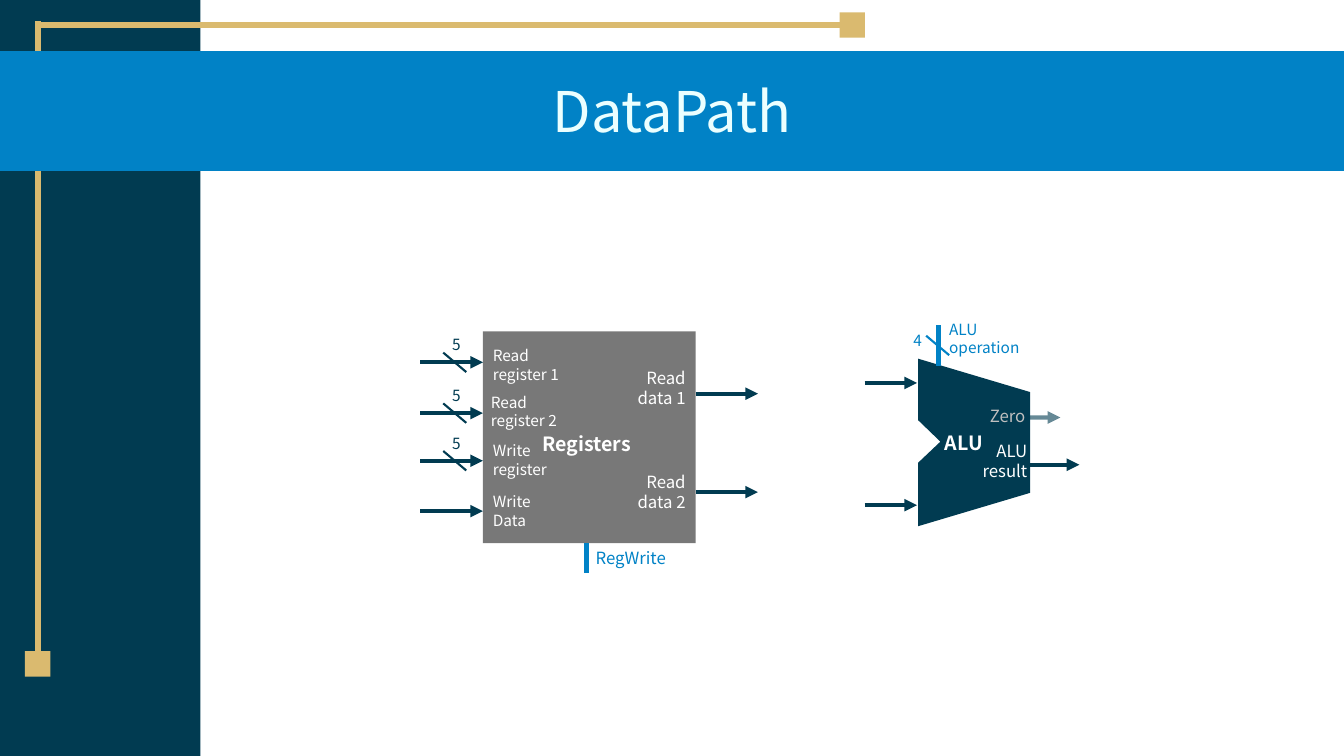
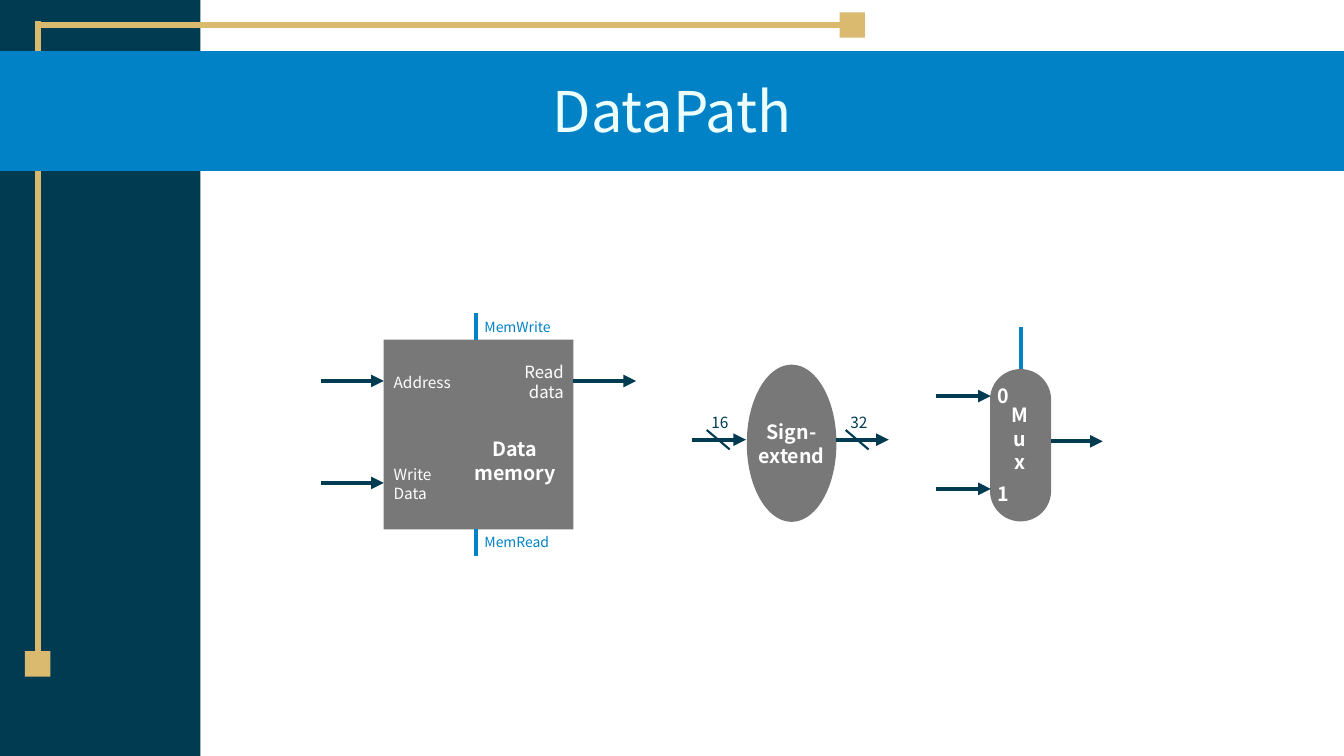
from dataclasses import dataclass

from pptx import Presentation
from pptx import util as u
from pptx.dml import color
from pptx.enum import shapes, text
from pptx.oxml import ns
from lxml import etree

FONT = "Noto Sans CJK KR"
COLORS = {
    "navy": "013B51",
    "blue": "0182C6",
    "gold": "DABA6F",
    "gray": "787878",
    "white": "FFFFFF",
    "silver": "BFBFBF",
    "ice": "EBFFFF",
}
ALIGN = {
    "left": text.PP_ALIGN.LEFT,
    "center": text.PP_ALIGN.CENTER,
    "right": text.PP_ALIGN.RIGHT,
}
RECT = shapes.MSO_SHAPE.RECTANGLE
OVAL = shapes.MSO_SHAPE.OVAL
ROUNDED = shapes.MSO_SHAPE.ROUNDED_RECTANGLE
SLASH_W, SLASH_H = 0.58, 0.49


# All positions and lengths below are in centimetres
@dataclass
class Block:
    x: float
    y: float
    w: float
    h: float
    fill: str = "gray"
    kind: shapes.MSO_SHAPE = RECT


@dataclass
class Wire:
    """A horizontal signal arrow, with an optional bus width."""
    x: float
    y: float
    length: float
    bits: str = ""
    slash_at: float = SLASH_W
    opacity: int = 100


@dataclass
class Control:
    """A vertical control line."""
    x: float
    y: float
    length: float


@dataclass
class Label:
    words: str
    x: float
    y: float
    w: float
    h: float
    size: float = 11
    color: str = "white"
    align: str = "left"
    bold: bool = False
    tight: bool = False
    stacked: bool = False


def rgb(name: str) -> color.RGBColor:
    return color.RGBColor.from_string(COLORS[name])


def style_paragraphs(frame, size: float, ink: str, align: str, bold: bool = False) -> None:
    for paragraph in frame.paragraphs:
        paragraph.alignment = ALIGN[align]
        font = paragraph.font
        font.name, font.size, font.bold = FONT, u.Pt(size), bold
        font.color.rgb = rgb(ink)


def paint(shape, fill: str) -> None:
    shape.shadow.inherit = False
    shape.fill.solid()
    shape.fill.fore_color.rgb = rgb(fill)
    shape.line.fill.background()


def draw_block(slide, block: Block) -> None:
    shape = slide.shapes.add_shape(
        block.kind, u.Cm(block.x), u.Cm(block.y), u.Cm(block.w), u.Cm(block.h))
    if block.kind == ROUNDED:
        shape.adjustments[0] = 0.5
    paint(shape, block.fill)


def draw_line(slide, x1: float, y1: float, x2: float, y2: float, ink: str,
              width: float = 3, arrow: bool = False, opacity: int = 100) -> None:
    connector = slide.shapes.add_connector(
        shapes.MSO_CONNECTOR.STRAIGHT, u.Cm(x1), u.Cm(y1), u.Cm(x2), u.Cm(y2))
    connector.line.color.rgb = rgb(ink)
    connector.line.width = u.Pt(width)
    stroke = connector.get_or_add_ln()
    if opacity < 100:
        solid = stroke.find(".//" + ns.qn("a:srgbClr"))
        etree.SubElement(solid, ns.qn("a:alpha"), val=str(opacity * 1000))
    if arrow:
        etree.SubElement(stroke, ns.qn("a:tailEnd"), type="triangle")
    etree.SubElement(connector.element.spPr, ns.qn("a:effectLst"))


def draw_label(slide, label: Label) -> None:
    box = slide.shapes.add_textbox(
        u.Cm(label.x), u.Cm(label.y), u.Cm(label.w), u.Cm(label.h))
    frame = box.text_frame
    frame.word_wrap = True
    frame.vertical_anchor = text.MSO_ANCHOR.MIDDLE
    if label.tight:
        frame.vertical_anchor = text.MSO_ANCHOR.TOP
        frame.margin_left = frame.margin_right = 0
        frame.margin_top = frame.margin_bottom = 0
    if label.stacked:
        box.element.txBody.bodyPr.set("vert", "wordArtVert")
    frame.text = label.words
    style_paragraphs(frame, label.size, label.color, label.align, label.bold)


def draw_bus_width(slide, bits: str, x: float, y: float, ink: str) -> None:
    """Slash with its top left corner at x, y and the bit count above it."""
    draw_line(slide, x, y, x + SLASH_W, y + SLASH_H, ink, 1.5)
    draw_label(slide, Label(bits, x - 0.25, y - 0.58, 1.17, 0.76, 11, ink, "center"))


def draw_wire(slide, wire: Wire) -> None:
    draw_line(slide, wire.x, wire.y, wire.x + wire.length, wire.y, "navy",
              arrow=True, opacity=wire.opacity)
    if wire.bits:
        draw_bus_width(slide, wire.bits, wire.x + wire.slash_at,
                       wire.y - SLASH_H / 2, "navy")


def draw_alu(slide) -> None:
    left, right, notch = 23.14, 25.96, 23.7
    outline = [(left, 9.04), (right, 9.88), (right, 12.42), (left, 13.26),
               (left, 11.66), (notch, 11.13), (left, 10.59)]
    points = [(u.Cm(x), u.Cm(y)) for x, y in outline]
    builder = slide.shapes.build_freeform(*points[0])
    builder.add_line_segments(points[1:], close=True)
    paint(builder.convert_to_shape(), "navy")


def add_datapath_slide(deck):
    """Slide with side panel, gold frame, band and title."""
    slide = deck.slides.add_slide(deck.slide_layouts[5])
    draw_block(slide, Block(0, 0, 5.05, 19.05, "navy"))
    draw_line(slide, 0.95, 16.41, 0.95, 0.53, "gold", 4.5)
    draw_line(slide, 21.16, 0.63, 0.95, 0.63, "gold", 4.5)
    for x, y in ((21.16, 0.31), (0.63, 16.41)):
        draw_block(slide, Block(x, y, 0.64, 0.64, "gold"))
    draw_block(slide, Block(0, 1.29, 33.87, 3.02, "blue"))

    title = slide.shapes.title
    title.left, title.top = u.Cm(0.25), u.Cm(1.68)
    title.width, title.height = u.Cm(33.38), u.Cm(2.08)
    frame = title.text_frame
    frame.text = "DataPath"
    frame.auto_size = text.MSO_AUTO_SIZE.NONE
    frame.vertical_anchor = text.MSO_ANCHOR.BOTTOM
    frame.paragraphs[0].line_spacing = 0.9
    style_paragraphs(frame, 40, "ice", "center")
    # Bring the title in front of the band
    title.element.getparent().append(title.element)
    return slide


def draw_parts(slide, parts: list) -> None:
    for part in parts:
        if isinstance(part, Block):
            draw_block(slide, part)
        elif isinstance(part, Wire):
            draw_wire(slide, part)
        elif isinstance(part, Control):
            draw_line(slide, part.x, part.y, part.x, part.y + part.length, "blue")
        else:
            draw_label(slide, part)


REGISTER_FILE = [
    Block(12.17, 8.35, 5.36, 5.34),
    *(Wire(10.59, y, 1.58, "5") for y in (9.13, 10.41, 11.61)),
    Wire(10.59, 12.88, 1.58),
    *(Wire(17.53, y, 1.57) for y in (9.92, 12.4)),
    Control(14.78, 13.69, 0.76),
    Label("Read\nregister 1", 12.17, 8.46, 2.54, 1.47),
    Label("Read\nregister 2", 12.12, 9.63, 2.54, 1.47),
    Label("Write\nregister", 12.17, 10.85, 2.54, 1.47),
    Label("Write\nData", 12.17, 12.14, 2.54, 1.47),
    Label("Registers", 12.88, 10.19, 3.81, 1.96, 14, align="center", bold=True),
    Label("Read\ndata 1", 15.7, 9.19, 1.83, 1.17, 12, align="right"),
    Label("Read\ndata 2", 15.7, 11.81, 1.83, 1.17, 12, align="right"),
    Label("RegWrite", 14.76, 13.46, 2.31, 1.17, 12, "blue"),
]
ALU_SIGNALS = [
    *(Wire(21.79, y, 1.32) for y in (9.65, 12.73)),
    Wire(25.96, 10.52, 0.76, opacity=60),
    Wire(25.96, 11.71, 1.24),
    Control(23.65, 8.2, 1.02),
    Label("ALU", 23.11, 10.54, 2.36, 1.22, 14, align="center", bold=True),
    Label("ALU\nresult", 24.31, 11.02, 1.83, 1.17, 12, align="right"),
    Label("Zero", 24.54, 10.08, 1.55, 0.79, 12, "silver", "right"),
    Label("ALU\noperation", 23.67, 8.15, 3.07, 0.76, 11, "blue"),
]
DATA_MEMORY = [
    Block(9.67, 8.56, 4.78, 4.78),
    *(Wire(8.09, y, 1.58) for y in (9.6, 12.17)),
    Wire(14.45, 9.6, 1.58),
    *(Control(11.99, y, 0.68) for y in (7.89, 13.33)),
    Label("Address", 9.67, 8.97, 2.26, 1.32),
    Label("Write\nData", 9.67, 11.53, 2.26, 1.32),
    Label("Read\ndata", 12.83, 9.09, 1.63, 1.07, 12, align="right"),
    Label("Data\nmemory", 11.28, 10.74, 3.4, 1.75, 14, align="center", bold=True),
    Label("MemWrite", 11.96, 7.7, 2.26, 1.07, 10, "blue"),
    Label("MemRead", 11.96, 13.13, 2.26, 1.07, 10, "blue"),
]
SIGN_EXTEND = [
    Block(18.82, 9.19, 2.26, 3.96, kind=OVAL),
    Wire(17.45, 11.08, 1.35, "16", 0.36),
    Wire(21.08, 11.08, 1.32, "32", 0.23),
    Label("Sign-\nextend", 18.77, 10.57, 2.36, 1.22, 14, align="center", bold=True),
]
MUX = [
    Block(24.95, 9.3, 1.54, 3.84, kind=ROUNDED),
    *(Wire(23.6, y, 1.37) for y in (9.98, 12.32)),
    Wire(26.49, 11.12, 1.3),
    Control(25.73, 8.23, 1.07),
    Label("Mux", 25.32, 9.68, 0.76, 2.74, 14, align="center", bold=True,
          tight=True, stacked=True),
    Label("0", 25.04, 9.68, 0.51, 0.61, 14, align="center", bold=True, tight=True),
    Label("1", 25.04, 12.14, 0.51, 0.61, 14, align="center", bold=True, tight=True),
]


def main() -> None:
    deck = Presentation()
    deck.slide_width, deck.slide_height = u.Cm(33.87), u.Cm(19.05)

    # Register file and ALU
    compute = add_datapath_slide(deck)
    draw_parts(compute, REGISTER_FILE)
    draw_alu(compute)
    draw_parts(compute, ALU_SIGNALS)
    # Bus width of the ALU operation, beside its control line
    draw_line(compute, 23.34, 8.46, 23.34 + SLASH_W, 8.46 + SLASH_H, "blue", 1.5)
    draw_label(compute, Label("4", 22.54, 8.2, 1.17, 0.76, 11, "blue", "center"))

    # Data memory, sign extension and multiplexer
    memory = add_datapath_slide(deck)
    draw_parts(memory, DATA_MEMORY + SIGN_EXTEND + MUX)

    deck.save("out.pptx")


if __name__ == "__main__":
    main()
